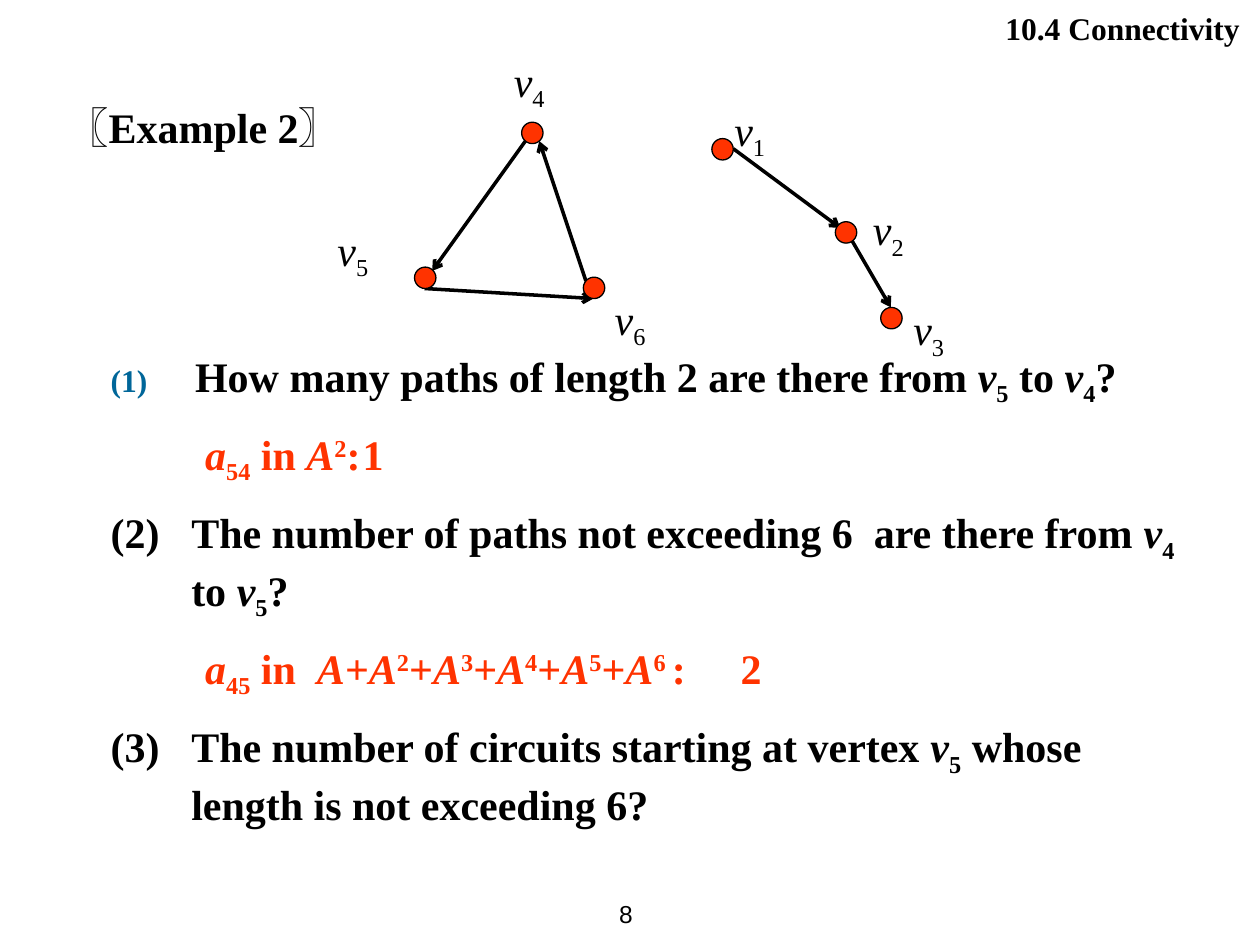
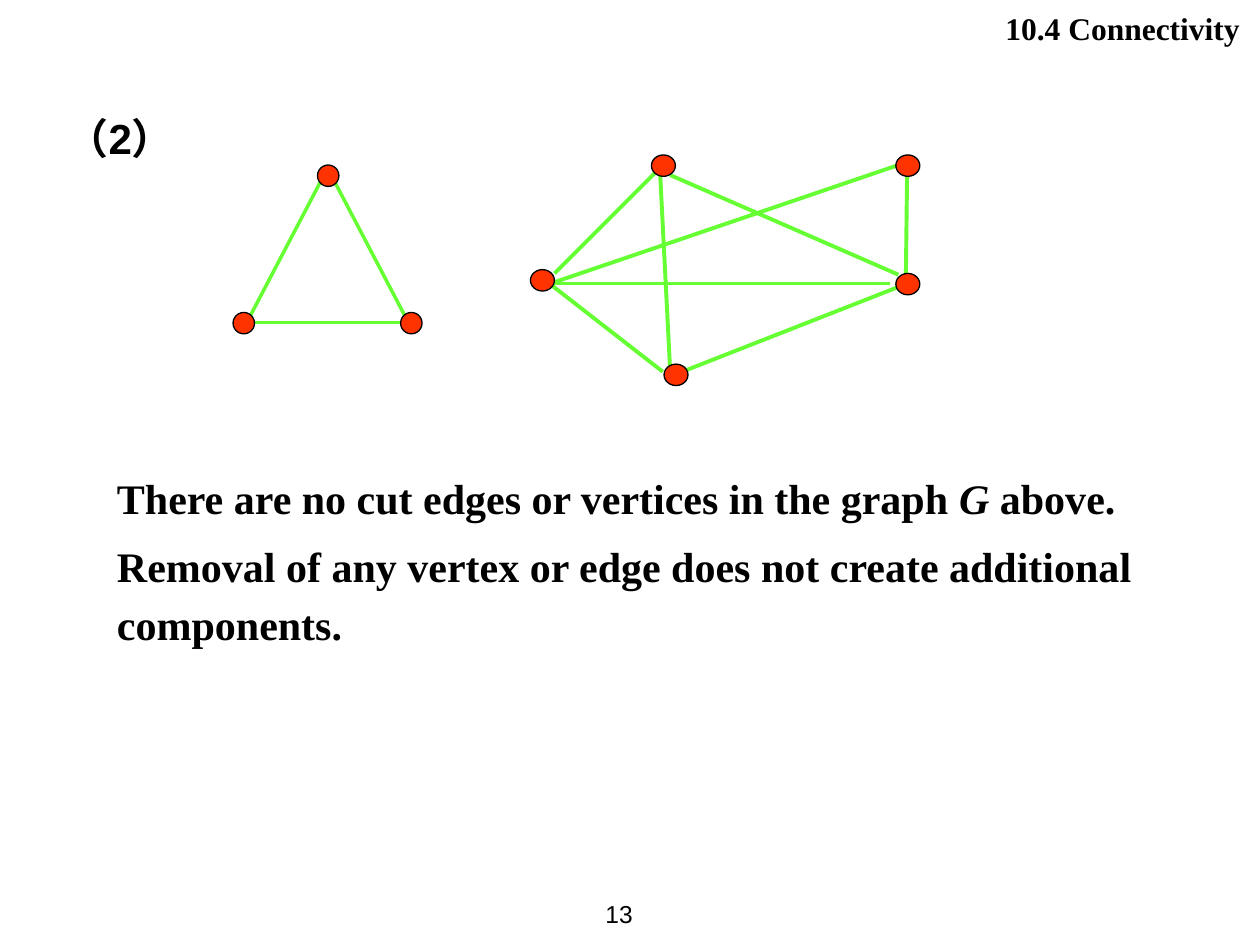
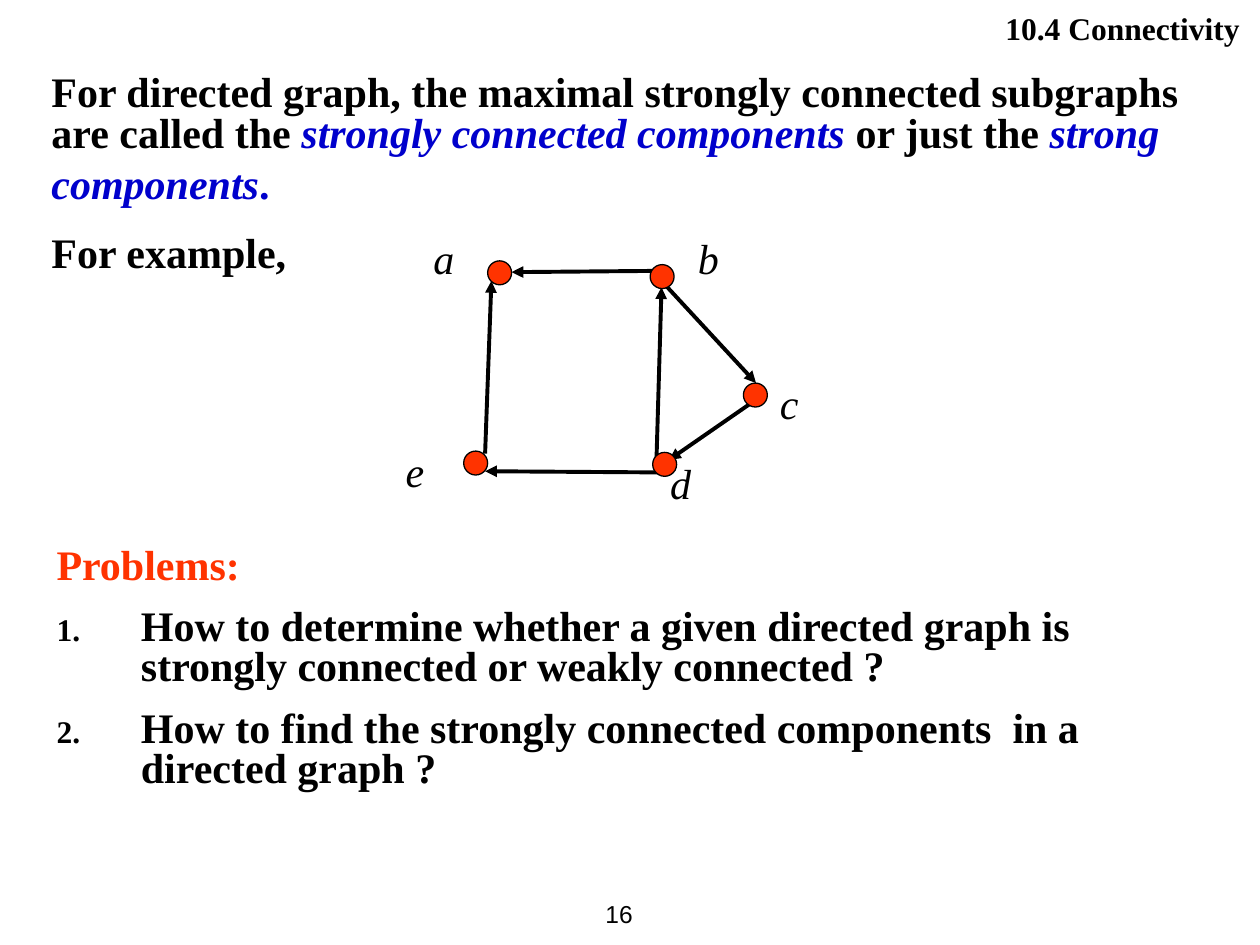
"""Build three slides on graph connectivity."""
from dataclasses import dataclass, field
from itertools import groupby
from typing import NamedTuple, Optional

from lxml import etree
from pptx import Presentation
from pptx import util as u
from pptx.dml import color as dml
from pptx.enum import shapes, text
from pptx.oxml import ns

BLACK, RED, GREEN, BLUE, TEAL = "000000", "FF3300", "66FF33", "0000CC", "006699"
SERIF, SANS = "Times New Roman", "Arial"
BODY_SIZE = 24
ITALIC, SUBSCRIPT, SUPERSCRIPT, ACCENT, LARGE, SERIF_MARK = "*_^~#@"
MARKS = ITALIC + SUBSCRIPT + SUPERSCRIPT + ACCENT + LARGE + SERIF_MARK


class Box(NamedTuple):
    """Place and size in inches."""

    left: float
    top: float
    width: float
    height: float

    def lengths(self) -> list:
        """Give the four values as lengths."""
        return [u.Inches(value) for value in self]


class Edge(NamedTuple):
    """Straight edge in inches, from its start to its end."""

    x1: float
    y1: float
    x2: float
    y2: float


class Label(NamedTuple):
    """Vertex name with the corner of its text box."""

    words: str
    left: float
    top: float


class Numbering(NamedTuple):
    """Automatic number scheme and its colour."""

    scheme: str
    color: str


@dataclass
class Para:
    """Paragraph whose words may hold style marks."""

    words: str
    color: str = BLACK
    font: str = SERIF
    size: float = BODY_SIZE
    bold: bool = True
    before: float = 0
    line: Optional[float] = None
    left: float = 0
    first: float = 0
    tab: float = 0
    align: text.PP_ALIGN = text.PP_ALIGN.LEFT
    numbering: Optional[Numbering] = None


@dataclass
class Graph:
    """Vertices, edges and labels that share one look."""

    node_shape: shapes.MSO_SHAPE
    node_size: tuple
    nodes: list
    edges: list
    edge_color: str = BLACK
    edge_width: float = 2
    arrow: str = ""
    labels: list = field(default_factory=list)
    label_size: tuple = (0.67, 0.5)


def rgb(value: str) -> dml.RGBColor:
    """Turn a hex string into a colour."""
    return dml.RGBColor.from_string(value)


def add_child(parent, tag: str, **attributes: str):
    """Append a DrawingML element."""
    return etree.SubElement(parent, ns.qn(tag), attributes)


def styled_pieces(words: str) -> list:
    """Split marked words into pairs of active marks and plain words."""
    active, pairs = frozenset(), []
    for char in words:
        if char in MARKS:
            active ^= {char}
        else:
            pairs.append((active, char))
    return [
        (marks, "".join(char for _, char in group))
        for marks, group in groupby(pairs, key=lambda pair: pair[0])
    ]


def fill_paragraph(paragraph, para: Para) -> None:
    """Write and format one paragraph."""
    properties = paragraph._p.get_or_add_pPr()
    properties.set("marL", str(u.Inches(para.left)))
    properties.set("indent", str(u.Inches(para.first)))
    if para.numbering:
        color = add_child(properties, "a:buClr")
        add_child(color, "a:srgbClr", val=para.numbering.color)
        add_child(properties, "a:buSzPct", val="75000")
        add_child(properties, "a:buFont", typeface=SERIF)
        add_child(properties, "a:buAutoNum", type=para.numbering.scheme)
    if para.tab:
        stops = add_child(properties, "a:tabLst")
        add_child(stops, "a:tab", pos=str(u.Inches(para.tab)), algn="l")
    paragraph.alignment = para.align
    paragraph.space_before = u.Pt(para.before)
    paragraph.line_spacing = para.line
    paragraph.font.name = para.font
    paragraph.font.size = u.Pt(para.size)
    paragraph.font.bold = para.bold
    paragraph.font.color.rgb = rgb(para.color)
    for marks, words in styled_pieces(para.words):
        run = paragraph.add_run()
        run.text = words
        if ITALIC in marks:
            run.font.italic = True
        if ACCENT in marks:
            run.font.color.rgb = rgb(BLUE)
        if LARGE in marks:
            run.font.size = u.Pt(32)
        if SERIF_MARK in marks:
            run.font.name = SERIF
        if SUBSCRIPT in marks:
            run._r.get_or_add_rPr().set("baseline", "-25000")
        if SUPERSCRIPT in marks:
            run._r.get_or_add_rPr().set("baseline", "30000")


def add_text(slide, box: Box, *paras: Para):
    """Add a wrapping text box and return its frame."""
    frame = slide.shapes.add_textbox(*box.lengths()).text_frame
    frame.word_wrap = True
    for index, para in enumerate(paras):
        fill_paragraph(frame.add_paragraph() if index else frame.paragraphs[0], para)
    return frame


def draw_edge(slide, edge: Edge, graph: Graph) -> None:
    """Draw one edge, with an arrowhead at its end if the graph is directed."""
    ends = [u.Inches(value) for value in edge]
    connector = slide.shapes.add_connector(shapes.MSO_CONNECTOR.STRAIGHT, *ends)
    connector.line.color.rgb = rgb(graph.edge_color)
    connector.line.width = u.Pt(graph.edge_width)
    if graph.arrow:
        add_child(connector.line._get_or_add_ln(), "a:tailEnd", type=graph.arrow)
    add_child(connector._element.spPr, "a:effectLst")


def draw_graph(slide, graph: Graph) -> None:
    """Draw the edges, then the vertices and their labels."""
    for edge in graph.edges:
        draw_edge(slide, edge, graph)
    for left, top in graph.nodes:
        box = Box(left, top, *graph.node_size)
        vertex = slide.shapes.add_shape(graph.node_shape, *box.lengths())
        vertex.shadow.inherit = False
        vertex.fill.solid()
        vertex.fill.fore_color.rgb = rgb(RED)
        vertex.line.color.rgb = rgb(BLACK)
        vertex.line.width = u.Pt(0.75)
    for label in graph.labels:
        box = Box(label.left, label.top, *graph.label_size)
        add_text(slide, box, Para(label.words, bold=False))


def add_slide(deck, number: int):
    """Add a slide with the section title and its page number."""
    slide = deck.slides.add_slide(deck.slide_layouts[5])
    title = slide.shapes.title
    title.left, title.top, title.width, title.height = Box(6.75, 0.02, 3.25, 0.4).lengths()
    frame = title.text_frame
    frame.vertical_anchor = text.MSO_ANCHOR.TOP
    frame.auto_size = text.MSO_AUTO_SIZE.NONE
    frame.margin_right = u.Inches(0.16)
    right = text.PP_ALIGN.RIGHT
    fill_paragraph(frame.paragraphs[0], Para("10.4 Connectivity", size=18, align=right))
    page = Para(str(number), font=SANS, size=14, bold=False, align=right)
    footer = add_text(slide, Box(4.45, 7, 0.67, 0.5), page)
    footer.vertical_anchor = text.MSO_ANCHOR.MIDDLE
    return slide


def question(words: str, **options) -> Para:
    """Make a hanging question paragraph."""
    return Para(words, left=0.64, first=-0.64, before=12, **options)


def answer(words: str, tab: float) -> Para:
    """Make a red answer with its result at a tab stop."""
    return Para(words, RED, first=0.75, tab=tab, before=12)


def build_paths(deck) -> None:
    """Build the slide on counting paths."""
    slide = add_slide(deck, 8)
    add_text(slide, Box(0.43, 0.76, 9.14, 0.5), Para("〖@Example 2@〗", font=SANS))
    powers = "+".join(["*A*"] + [f"*A*^{power}^" for power in range(2, 7)])
    add_text(
        slide,
        Box(0.78, 2.73, 8.87, 3.7),
        Para(
            "How many paths of length 2 are there from *v*_5_ to *v*_4_?",
            left=0.67,
            first=-0.67,
            numbering=Numbering("arabicParenBoth", TEAL),
        ),
        answer("*a*_54_ in *A*^2^:\t1", 2.45),
        question("(2)\tThe number of paths not exceeding 6  are there from *v*_4_ to *v*_5_?"),
        answer(f"*a*_45_ in  {powers}^ ^:\t2", 4.98),
        question("(3)\tThe number of circuits starting at vertex *v*_5_ whose length is not exceeding 6?"),
    )
    draw_graph(slide, Graph(
        shapes.MSO_SHAPE.FLOWCHART_CONNECTOR,
        (0.17, 0.17),
        [(3.29, 2.12), (4.63, 2.2), (4.14, 0.97), (5.65, 1.1), (6.99, 2.44), (6.63, 1.76)],
        [
            Edge(3.37, 2.29, 4.71, 2.37),
            Edge(4.17, 1.12, 3.43, 2.15),
            Edge(4.65, 2.23, 4.28, 1.12),
            Edge(5.82, 1.18, 6.67, 1.81),
            Edge(6.75, 1.89, 7.07, 2.44),
        ],
        arrow="arrow",
        labels=[
            Label("*v*_1_", 5.73, 0.78),
            Label("*v*_2_", 6.83, 1.57),
            Label("*v*_3_", 7.15, 2.36),
            Label("*v*_4_", 3.98, 0.39),
            Label("*v*_5_", 2.58, 1.73),
            Label("*v*_6_", 4.78, 2.28),
        ],
    ))


def build_cuts(deck) -> None:
    """Build the slide on cut edges and vertices."""
    slide = add_slide(deck, 13)
    add_text(slide, Box(0.43, 0.84, 8.11, 0.63), Para("（2）", font=SANS))
    add_text(
        slide,
        Box(0.83, 3.75, 8.74, 1.5),
        Para("There are no cut edges or vertices in the graph *G* above.", line=0.9),
        Para(
            "Removal of any vertex or edge does not create additional components.# #",
            line=0.9,
            before=12.8,
        ),
    )
    draw_graph(slide, Graph(
        shapes.MSO_SHAPE.FLOWCHART_CONNECTOR,
        (0.17, 0.17),
        [(1.85, 2.48), (3.18, 2.48), (2.52, 1.31)],
        [
            Edge(1.99, 2.5, 2.54, 1.45),
            Edge(2.02, 2.56, 3.18, 2.56),
            Edge(3.21, 2.5, 2.66, 1.45),
        ],
        GREEN,
    ))
    draw_graph(slide, Graph(
        shapes.MSO_SHAPE.OVAL,
        (0.19, 0.17),
        [(4.21, 2.14), (7.11, 2.17), (7.11, 1.23), (5.17, 1.23), (5.27, 2.89)],
        [
            Edge(4.37, 2.25, 7.13, 1.31),
            Edge(5.26, 1.31, 4.4, 2.17),
            Edge(4.36, 2.25, 7.06, 2.25),
            Edge(7.2, 1.31, 7.19, 2.17),
            Edge(4.36, 2.25, 5.26, 2.95),
            Edge(7.2, 2.25, 5.39, 2.96),
            Edge(5.24, 1.39, 5.32, 2.96),
            Edge(5.32, 1.39, 7.13, 2.18),
        ],
        GREEN,
        2.25,
    ))


def build_components(deck) -> None:
    """Build the slide on strong components."""
    slide = add_slide(deck, 16)
    add_text(
        slide,
        Box(0.31, 0.55, 9.21, 1.89),
        Para(
            "For directed graph, the maximal strongly connected subgraphs are called the "
            "~*strongly connected components *~or just the ~*strong components*.~# #",
            line=0.8,
        ),
        Para("For example,", before=9.6),
    )
    draw_graph(slide, Graph(
        shapes.MSO_SHAPE.FLOWCHART_CONNECTOR,
        (0.19, 0.19),
        [(3.68, 3.58), (3.87, 2.07), (5.18, 3.59), (5.9, 3.04), (5.16, 2.1)],
        [
            Edge(5.19, 2.15, 4.06, 2.16),
            Edge(3.85, 3.6, 3.9, 2.23),
            Edge(5.32, 3.75, 3.85, 3.74),
            Edge(5.21, 3.66, 5.25, 2.28),
            Edge(5.26, 2.24, 6, 3.04),
            Edge(5.96, 3.2, 5.31, 3.65),
        ],
        edge_width=2.25,
        arrow="triangle",
        labels=[
            Label("*a*", 3.34, 1.8),
            Label("*b*", 5.44, 1.8),
            Label("*c*", 6.09, 2.95),
            Label("*d*", 5.22, 3.58),
            Label("*e*", 3.12, 3.49),
        ],
        label_size=(0.78, 0.56),
    ))
    problems = [
        "How to determine whether a given directed graph is strongly connected or weakly connected ?",
        "How to find the strongly connected components  in a directed graph ?",
    ]
    numbering = Numbering("arabicPeriod", BLACK)
    add_text(
        slide,
        Box(0.35, 4.3, 9.45, 2.44),
        Para("Problems:", RED, line=0.8),
        *[
            Para(words, left=0.67, first=-0.67, line=0.8, before=12, numbering=numbering)
            for words in problems
        ],
    )


def main() -> None:
    """Build and save the deck."""
    deck = Presentation()
    deck.slide_width, deck.slide_height = u.Inches(10), u.Inches(7.5)
    build_paths(deck)
    build_cuts(deck)
    build_components(deck)
    deck.save("out.pptx")


if __name__ == "__main__":
    main()
